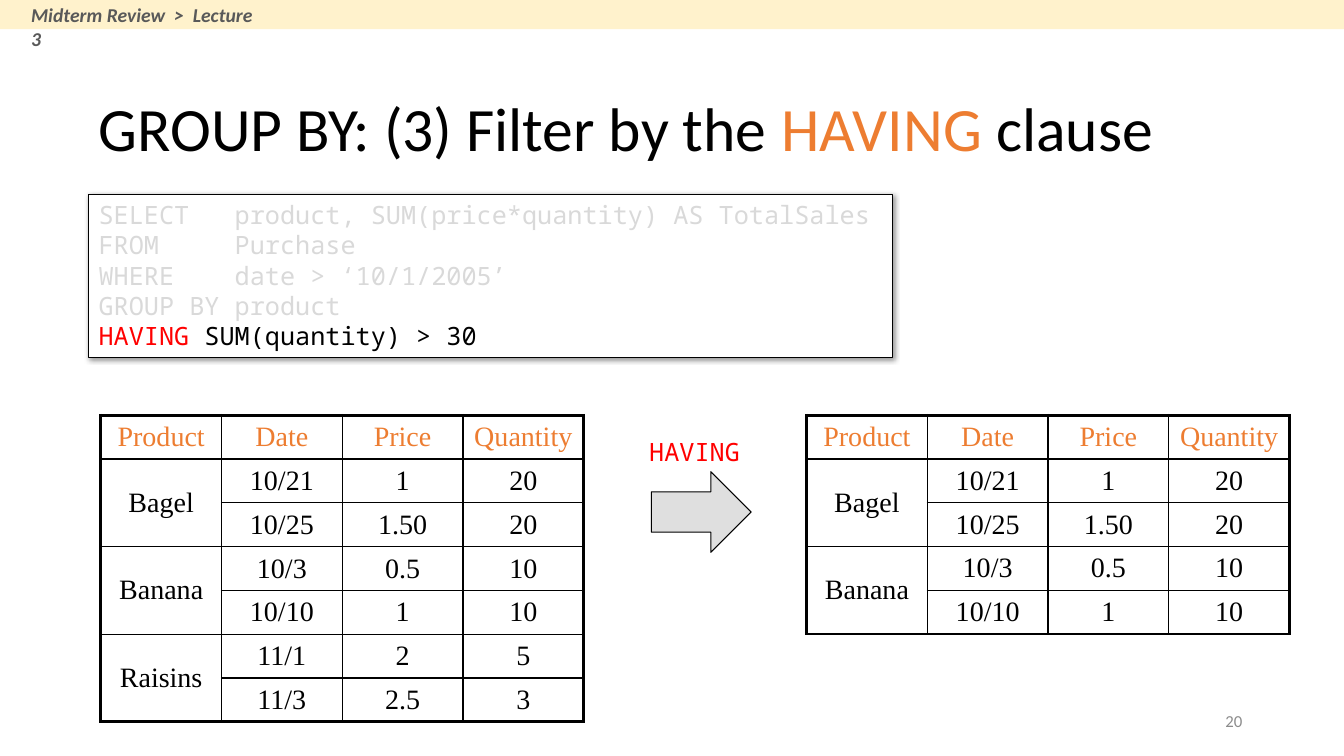
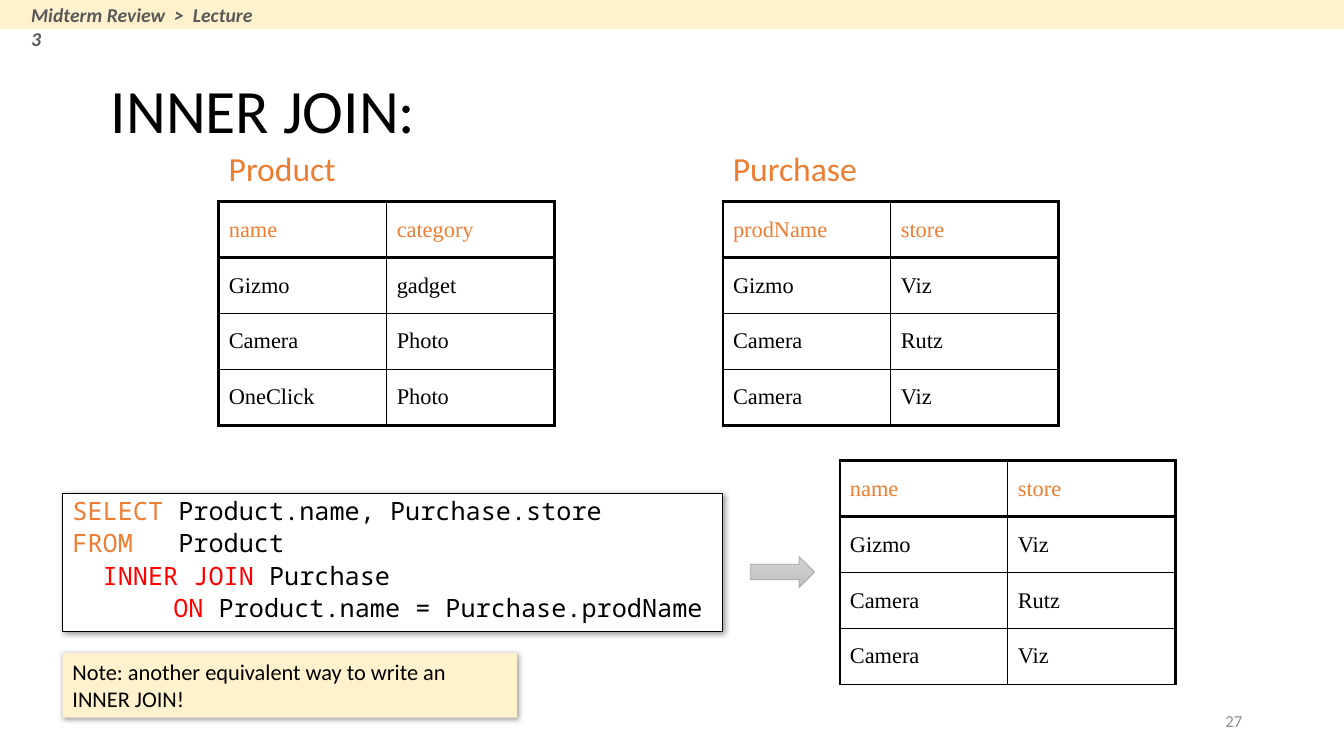
import dataclasses

import lxml.etree
import pptx
import pptx.dml.color
import pptx.enum.shapes
import pptx.enum.text
import pptx.oxml.ns
import pptx.util

ALIGN = pptx.enum.text.PP_ALIGN
ANCHOR = pptx.enum.text.MSO_ANCHOR
SHAPE = pptx.enum.shapes.MSO_SHAPE
SCALE = 9144


@dataclasses.dataclass(frozen=True)
class Theme:
    """Colours, fonts, type sizes and line widths of the deck."""

    black: str = "000000"
    white: str = "FFFFFF"
    orange: str = "ED7D31"
    red: str = "FF0000"
    cream: str = "FFF2CC"
    faint: str = "D9D9D9"
    crumb: str = "595959"
    number: str = "8C8C8C"
    silver: str = "C0C0C0"
    light: str = "D2D2D2"
    edge: str = "A5A5A5"
    sans: str = "Calibri"
    mono: str = "Noto Sans Mono"
    serif: str = "Times New Roman"
    head: int = 44
    label: int = 24
    cell: int = 20
    code: int = 18
    note: int = 16
    band: int = 14
    foot: int = 12
    thick: float = 2.25
    thin: float = 1
    hair: float = 0.75
    fine: float = 0.5


T = Theme()


def px(*sizes):
    """Turn px lengths into EMU."""
    return [pptx.util.Emu(round(size * SCALE)) for size in sizes]


def rgb(code):
    """Turn a hex code into a colour."""
    return pptx.dml.color.RGBColor.from_string(code)


def assign(target, values):
    """Set each attribute named in a dict of format values."""
    for name, value in values.items():
        setattr(target, name, value)


def child(parent, tag, **attrs):
    """Append a drawing element with its attributes."""
    return lxml.etree.SubElement(parent, pptx.oxml.ns.qn(tag), attrs)


def write(frame, lines, face, size, para=None, gap=0, **font):
    """Fill a text frame with lines of (text, colour) runs."""
    frame.word_wrap = True
    for row, runs in enumerate(lines):
        line = frame.paragraphs[0] if row == 0 else frame.add_paragraph()
        assign(line, {"alignment": ALIGN.LEFT, **(para or {})})
        if row and gap:
            line.space_before = pptx.util.Pt(gap)
        for text, colour in runs:
            run = line.add_run()
            run.text = text
            assign(run.font, {"name": face, "size": pptx.util.Pt(size), **font})
            run.font.color.rgb = rgb(colour)


def label(slide, box, text, colour, size, face=T.sans, para=None, anchor=ANCHOR.TOP, **font):
    """Place one line of free text."""
    frame = slide.shapes.add_textbox(*px(*box)).text_frame
    frame.vertical_anchor = anchor
    write(frame, [[(text, colour)]], face, size, para, **font)


def block(slide, kind, box, fill=None, line=None, width=T.hair, shade=False):
    """Place a preset shape, with a soft shadow if asked."""
    shape = slide.shapes.add_shape(kind, *px(*box))
    shape.shadow.inherit = False
    if fill:
        shape.fill.solid()
        shape.fill.fore_color.rgb = rgb(fill)
    if line:
        shape.line.color.rgb = rgb(line)
        shape.line.width = pptx.util.Pt(width)
    else:
        shape.line.fill.background()
    if shade:
        effect = shape._element.spPr.find(pptx.oxml.ns.qn("a:effectLst"))
        outer = child(effect, "a:outerShdw", blurRad="50800", dist="12700",
                      dir="2700000", algn="tl", rotWithShape="0")
        child(child(outer, "a:srgbClr", val=T.black), "a:alpha", val="40000")
    return shape


def panel(slide, box, lines, face, size, fill=T.white, line=None, **format):
    """Place a shaded box of text."""
    frame = block(slide, SHAPE.RECTANGLE, box, fill, line, shade=True).text_frame
    frame.vertical_anchor = ANCHOR.TOP
    write(frame, lines, face, size, **format)
    return frame


def border(cell, sides):
    """Draw the given sides of a cell, ahead of its fill."""
    props = cell._tc.get_or_add_tcPr()
    for place, (side, width) in enumerate(sides.items()):
        line = child(props, "a:ln" + side, w=str(pptx.util.Pt(width)))
        child(child(line, "a:solidFill"), "a:srgbClr", val=T.black)
        props.insert(place, line)


def grid(slide, box, rows, size, align=ALIGN.LEFT, span=1, rule=T.thin, base=T.thick):
    """Place a ruled table, joining each span of first-column cells."""
    high, wide = len(rows), len(rows[0])
    table = slide.shapes.add_table(high, wide, *px(*box)).table
    assign(table, {"first_row": False, "horz_banding": False})
    for column in table.columns:
        column.width = px(box[2] / wide)[0]
    for row in table.rows:
        row.height = px(box[3] / high)[0]
    if span > 1:
        for top in range(1, high, span):
            table.cell(top, 0).merge(table.cell(top + span - 1, 0))
    levels = [T.thick, rule] + [T.thin] * (high - 2) + [base]
    for y, row in enumerate(rows):
        for x, text in enumerate(row):
            cell = table.cell(y, x)
            cell.vertical_anchor = ANCHOR.MIDDLE
            cell.fill.background()
            last = y + (cell.span_height if cell.is_merge_origin else 1)
            sides = {"L": T.thin if x else T.thick,
                     "R": T.thin if x < wide - 1 else T.thick,
                     "T": levels[y], "B": levels[last]}
            if cell.is_spanned:
                del sides["T"]
            border(cell, sides)
            if text:
                colour = T.black if y else T.orange
                write(cell.text_frame, [[(text, colour)]], T.serif, size, {"alignment": align})


def page(deck, box, title, number):
    """Add a slide with its title, top band and number."""
    slide = deck.slides.add_slide(deck.slide_layouts[5])
    head = slide.shapes.title
    assign(head, dict(zip(("left", "top", "width", "height"), px(*box))))
    assign(head.text_frame, {"vertical_anchor": ANCHOR.MIDDLE,
                             "auto_size": pptx.enum.text.MSO_AUTO_SIZE.NONE})
    write(head.text_frame, [title], T.sans, T.head, {"line_spacing": 0.9})
    block(slide, SHAPE.RECTANGLE, (0, 0, 1333, 29), T.cream)
    label(slide, (21, -2, 248, 34), "Midterm Review  >  Lecture 3", T.crumb, T.band,
          bold=True, italic=True)
    label(slide, (942, 695, 300, 40), number, T.number, T.foot,
          para={"alignment": ALIGN.RIGHT}, anchor=ANCHOR.MIDDLE)
    return slide


def having(deck):
    """Build the slide on filtering groups."""
    title = [("GROUP BY: (3) Filter by the ", T.black), ("HAVING", T.orange), (" clause", T.black)]
    slide = page(deck, (88, 68, 1099, 125), title, "20")
    faint = ["SELECT   product, SUM(price*quantity) AS TotalSales",
             "FROM     Purchase",
             "WHERE    date > ‘10/1/2005’",
             "GROUP BY product"]
    code = [[(text, T.faint)] for text in faint]
    code.append([("HAVING", T.red), (" SUM(quantity) > 30", T.black)])
    panel(slide, (88, 193, 797, 162), code, T.mono, T.code, line=T.black)
    sales = [("Product", "Date", "Price", "Quantity"),
             ("Bagel", "10/21", "1", "20"),
             ("", "10/25", "1.50", "20"),
             ("Banana", "10/3", "0.5", "10"),
             ("", "10/10", "1", "10"),
             ("Raisins", "11/1", "2", "5"),
             ("", "11/3", "2.5", "3")]
    style = {"size": T.cell, "align": ALIGN.CENTER, "span": 2}
    grid(slide, (100, 412, 479, 304), sales, **style)
    grid(slide, (800, 412, 479, 217), sales[:5], base=T.thin, **style)
    label(slide, (634, 428, 120, 40), "HAVING", T.red, T.code, T.mono)
    arrow = block(slide, SHAPE.RIGHT_ARROW, (646, 468, 99, 80), T.silver, T.black)
    tint = arrow._element.spPr.find(pptx.oxml.ns.qn("a:solidFill"))
    child(tint[0], "a:alpha", val="50000")


def join(deck):
    """Build the slide on joining two tables."""
    slide = page(deck, (100, 50, 900, 125), [("INNER JOIN:", T.black)], "27")
    goods = [("name", "category"), ("Gizmo", "gadget"), ("Camera", "Photo"), ("OneClick", "Photo")]
    stores = [("Gizmo", "Viz"), ("Camera", "Rutz"), ("Camera", "Viz")]
    buys = [("prodName", "store"), *stores]
    for left, name, rows in ((217, "Product", goods), (717, "Purchase", buys)):
        label(slide, (left, 142, 160, 50), name, T.orange, T.label)
        grid(slide, (left, 200, 333, 222), rows, T.note, rule=T.thick)
    grid(slide, (833, 457, 333, 222), [("name", "store"), *stores], T.note,
         rule=T.thick, base=T.thin)
    code = [[("SELECT ", T.orange), ("Product.name, Purchase.store", T.black)],
            [("FROM", T.orange), ("   Product", T.black)],
            [("  INNER JOIN ", T.red), ("Purchase", T.black)],
            [("ON ", T.red), ("Product.name = Purchase.prodName", T.black)]]
    frame = panel(slide, (62, 490, 655, 137), code, T.mono, T.code, line=T.black,
                  para={"line_spacing": 0.9}, gap=3.6)
    frame.paragraphs[-1]._p.get_or_add_pPr().set("marL", str(px(100)[0]))
    note = "Note: another equivalent way to write an INNER JOIN!"
    panel(slide, (62, 648, 451, 64), [[(note, T.black)]], T.sans, T.note, T.cream)
    arrow = block(slide, SHAPE.RIGHT_ARROW, (744, 552, 64, 31), line=T.edge, width=T.fine)
    arrow.fill.gradient()
    arrow.fill.gradient_angle = 270
    for stop, colour in zip(arrow.fill.gradient_stops, (T.light, T.silver)):
        stop.color.rgb = rgb(colour)


def main():
    """Build the deck and save it."""
    deck = pptx.Presentation()
    assign(deck, dict(zip(("slide_width", "slide_height"), px(1333, 750))))
    having(deck)
    join(deck)
    deck.save("out.pptx")


if __name__ == "__main__":
    main()
